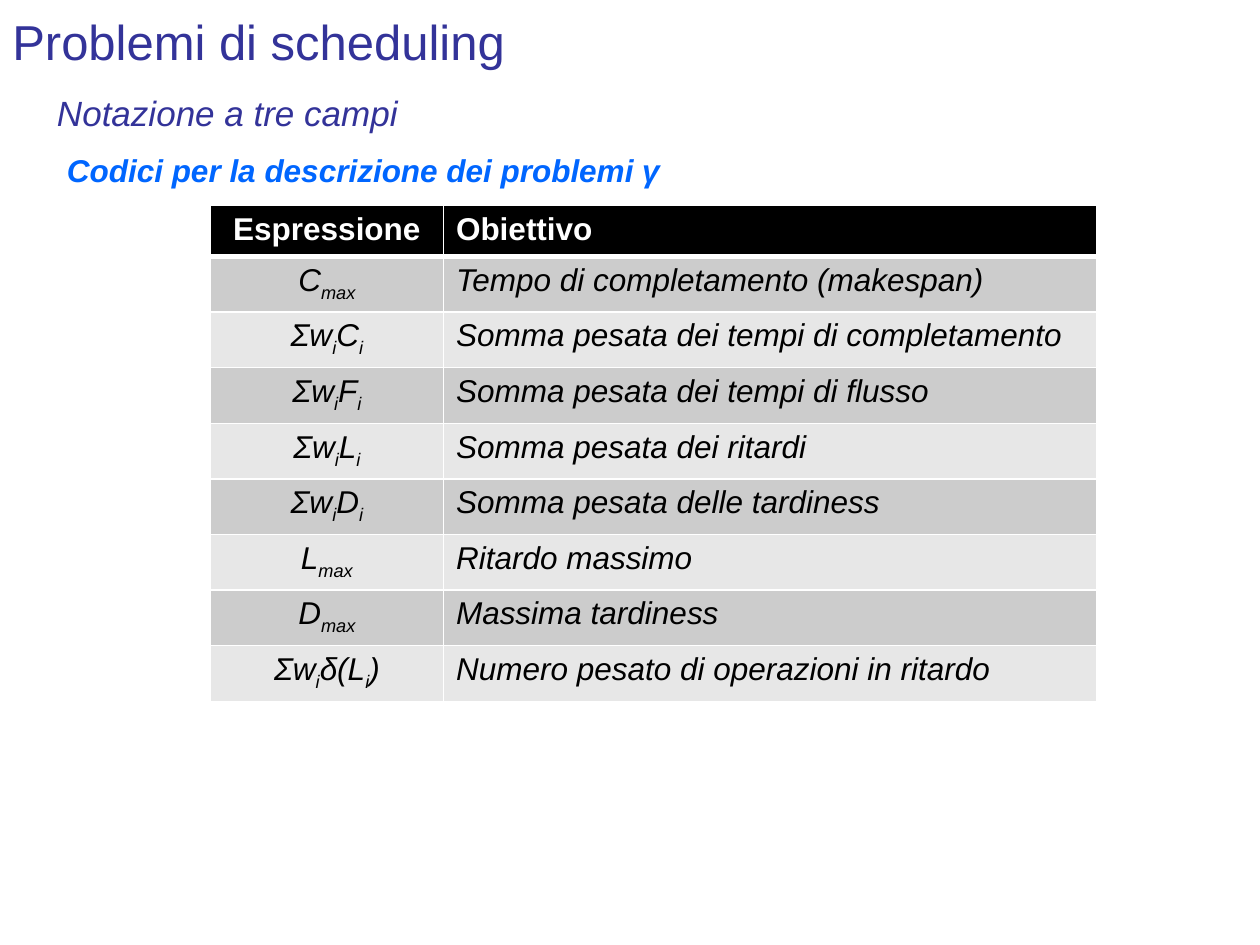
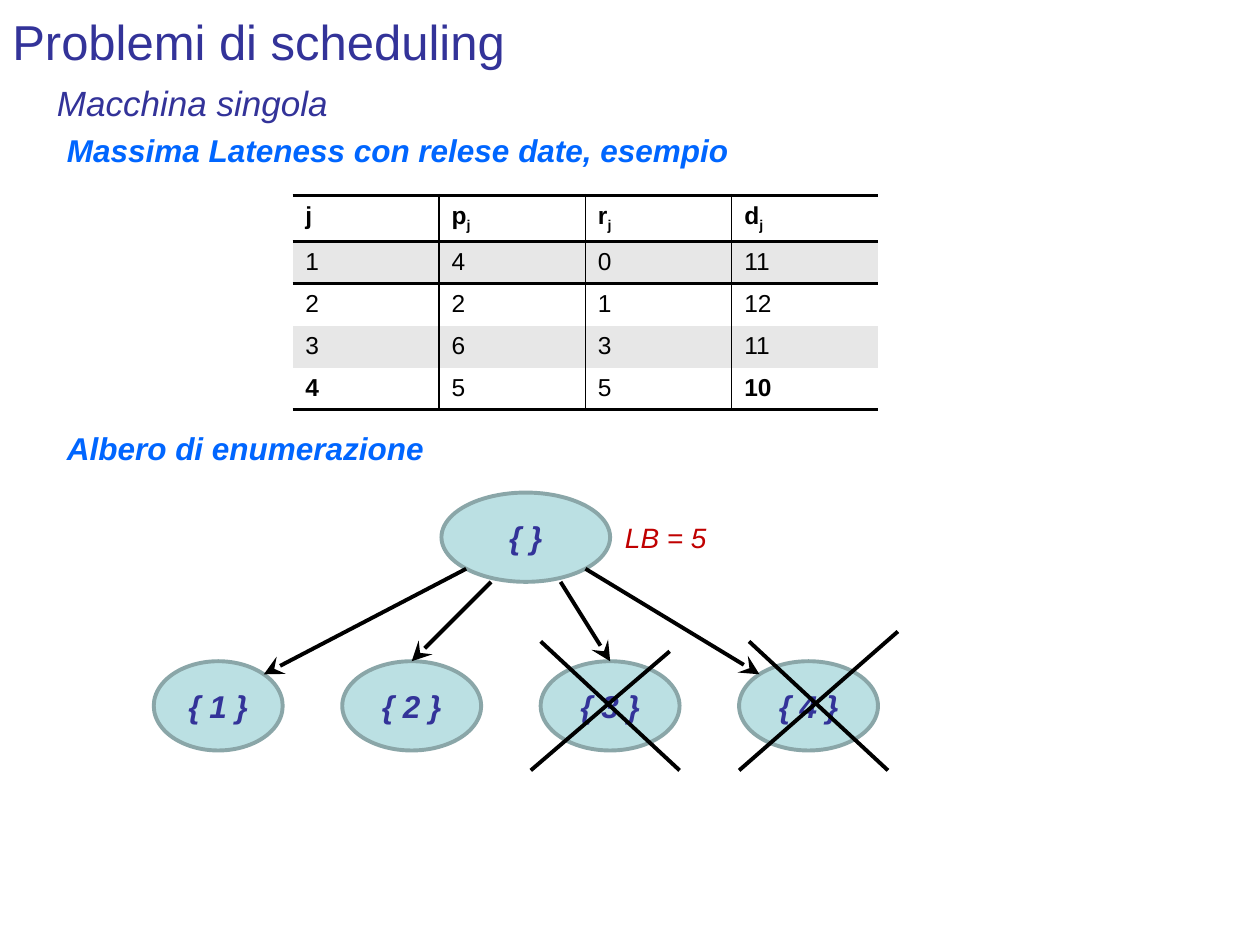
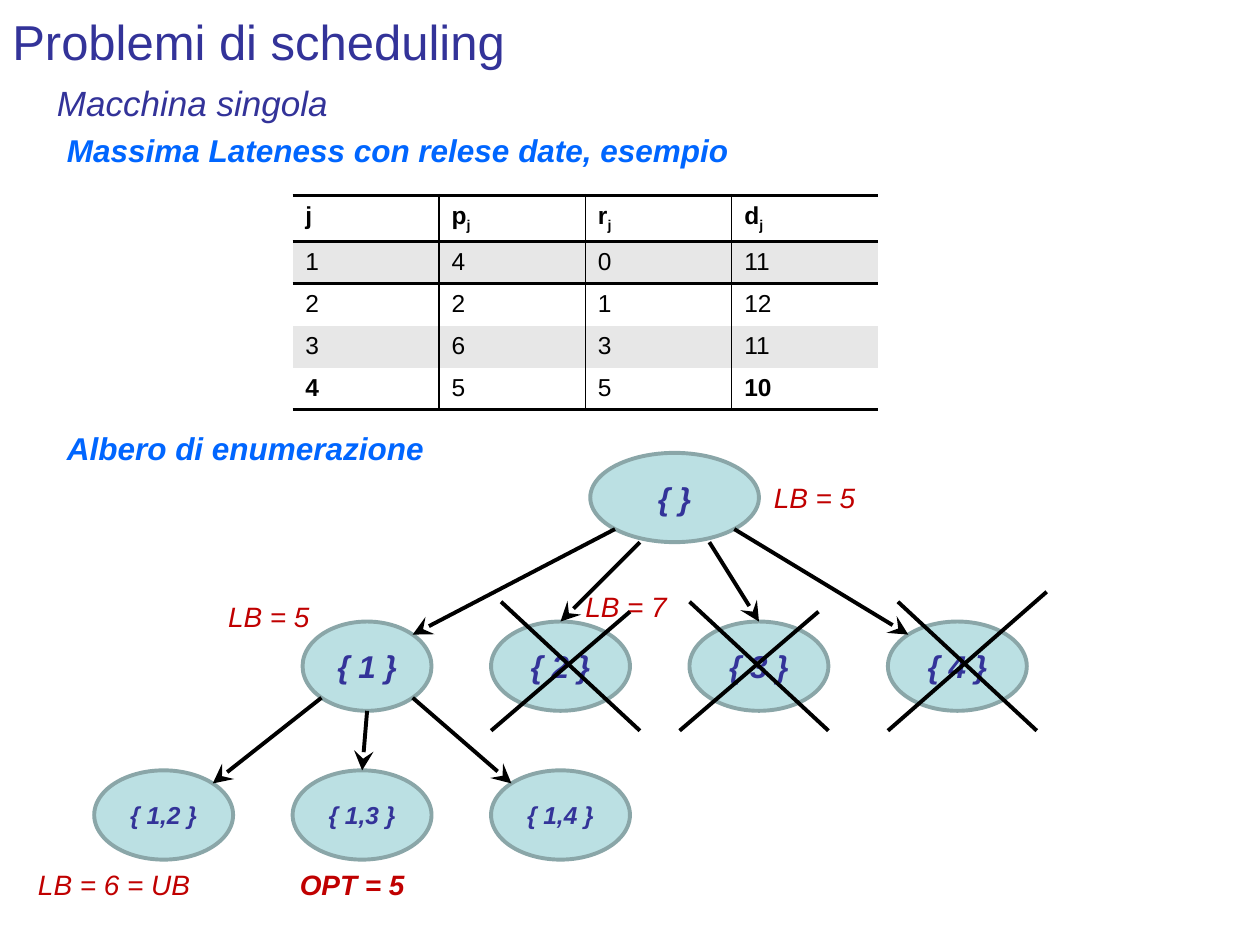
import math

from lxml import etree
from pptx import Presentation
from pptx import util as u
from pptx.dml.color import RGBColor
from pptx.enum import shapes, text
from pptx.oxml.ns import qn

INDIGO = RGBColor(0x33, 0x33, 0x99)
BLUE = RGBColor(0x00, 0x66, 0xFF)
RED = RGBColor(0xC0, 0x00, 0x00)
AQUA = RGBColor(0xBB, 0xE0, 0xE3)
TEAL = RGBColor(0x8A, 0xA6, 0xA8)
BLACK = RGBColor(0x00, 0x00, 0x00)
WHITE = RGBColor(0xFF, 0xFF, 0xFF)
GREY = RGBColor(0xCC, 0xCC, 0xCC)
PALE = RGBColor(0xE7, 0xE7, 0xE7)

COLUMNS = 127  # square grid, 2 mm a cell
NODE_HEIGHT = 9
NO_STYLE = "{2D5ABB26-0587-4C30-8999-92F81FD0307C}"

OBJECTIVES = [
    ("Espressione", "Obiettivo"),
    ("C|max", "Tempo di completamento (makespan)"),
    ("Σw|i|C|i", "Somma pesata dei tempi di completamento"),
    ("Σw|i|F|i", "Somma pesata dei tempi di flusso"),
    ("Σw|i|L|i", "Somma pesata dei ritardi"),
    ("Σw|i|D|i", "Somma pesata delle tardiness"),
    ("L|max", "Ritardo massimo"),
    ("D|max", "Massima tardiness"),
    ("Σw|i|δ(L|i|)", "Numero pesato di operazioni in ritardo"),
]
JOBS = [
    ("j", "p|j", "r|j", "d|j"),
    ("1", "4", "0", "11"),
    ("2", "2", "1", "12"),
    ("3", "6", "3", "11"),
    ("4", "5", "5", "10"),
]


class Deck:
    """Style and current slide; all lengths are grid cells."""

    def __init__(self):
        self.presentation = Presentation()
        self.presentation.slide_width = u.Inches(10)
        self.presentation.slide_height = u.Inches(7.5)
        self.cell = self.presentation.slide_width / COLUMNS
        self.slide = None

    def lengths(self, *cells):
        return [u.Emu(round(value * self.cell)) for value in cells]

    def new_slide(self, subtitle, subtitle_row):
        self.slide = self.presentation.slides.add_slide(self.presentation.slide_layouts[6])
        self.text_box(subtitle, (4.5, subtitle_row, 116, 6), 20, INDIGO, italic=True, before=4)
        self.text_box("Problemi di scheduling", (0, -0.4, 114.3, 9), 28, INDIGO, middle=True)

    def set_text(self, paragraph, content, size, color, bold=False, italic=False, centred=False):
        """Fill a paragraph; every second piece between bars is a subscript."""
        font = paragraph.font
        font.name, font.size, font.bold, font.italic = "Arial", u.Pt(size), bold, italic
        font.color.rgb = color
        paragraph.alignment = text.PP_ALIGN.CENTER if centred else text.PP_ALIGN.LEFT
        for index, piece in enumerate(content.split("|")):
            run = paragraph.add_run()
            run.text = piece
            if index % 2:
                run._r.get_or_add_rPr().set("baseline", "-25000")

    def text_box(self, content, box, size, color, middle=False, before=0, **style):
        frame = self.slide.shapes.add_textbox(*self.lengths(*box)).text_frame
        frame.word_wrap = True
        frame.vertical_anchor = text.MSO_ANCHOR.MIDDLE if middle else text.MSO_ANCHOR.TOP
        self.set_text(frame.paragraphs[0], content, size, color, **style)
        if before:
            frame.paragraphs[0].space_before = u.Pt(before)

    def heading(self, content, row):
        self.text_box(content, (5.5, row, 119, 5), 18, BLUE, bold=True, italic=True)

    def label(self, content, left, top, width=14, bold=False):
        self.text_box(content, (left, top, width, 7), 16, RED, middle=True,
                      bold=bold, italic=True, centred=True)

    def node(self, content, left, top, width=14, size=18):
        box = self.lengths(left, top, width, NODE_HEIGHT)
        shape = self.slide.shapes.add_shape(shapes.MSO_SHAPE.OVAL, *box)
        shape.shadow.inherit = False
        shape.fill.solid()
        shape.fill.fore_color.rgb = AQUA
        shape.line.color.rgb = TEAL
        shape.line.width = u.Pt(2.25)
        shape.text_frame.vertical_anchor = text.MSO_ANCHOR.MIDDLE
        self.set_text(shape.text_frame.paragraphs[0], content, size, INDIGO,
                      bold=True, italic=True, centred=True)
        return shape

    def rim(self, node, across, down):
        """Diagonal point of a node's outline, in cells; signs give the side."""
        half = math.sqrt(0.5) / 2
        return ((node.left + node.width * (0.5 + across * half)) / self.cell,
                (node.top + node.height * (0.5 + down * half)) / self.cell)

    def line(self, start, end, arrow=False):
        connector = self.slide.shapes.add_connector(
            shapes.MSO_CONNECTOR.STRAIGHT, *self.lengths(*start, *end))
        connector.line.color.rgb = BLACK
        connector.line.width = u.Pt(2.25)
        if arrow:
            etree.SubElement(connector.line._get_or_add_ln(), qn("a:tailEnd"),
                             type="stealth", w="lg", len="lg")
        etree.SubElement(connector._element.spPr, qn("a:effectLst"))
        return connector

    def arrow_to_top(self, start, node):
        self.line(start, start, arrow=True).end_connect(node, 0)

    def cross(self, left, top, overhang=0):
        self.line((left + 14 + overhang, top - 1 - overhang), (left, top + 11))
        self.line((left + 1, top - 2), (left + 15, top + 11))

    def table(self, rows, left, top, widths, row_height, size, look):
        """look(row, column) gives fill, borders and text style of a cell."""
        box = self.lengths(left, top, sum(widths), row_height * len(rows))
        table = self.slide.shapes.add_table(len(rows), len(widths), *box).table
        table.first_row = table.horz_banding = False
        table._tbl.tblPr.find(qn("a:tableStyleId")).text = NO_STYLE
        for column, width in zip(table.columns, self.lengths(*widths)):
            column.width = width
        for r, row in enumerate(rows):
            for c, content in enumerate(row):
                fill, borders, style = look(r, c)
                cell = table.cell(r, c)
                self.set_text(cell.text_frame.paragraphs[0], content, size, **style)
                self.borders(cell, borders)
                cell.fill.solid()
                cell.fill.fore_color.rgb = fill

    def borders(self, cell, borders):
        properties = cell._tc.get_or_add_tcPr()
        for side in "LRTB":
            if side in borders:
                color, points = borders[side]
                line = etree.SubElement(properties, qn(f"a:ln{side}"), w=str(u.Pt(points)))
                fill = etree.SubElement(line, qn("a:solidFill"))
                etree.SubElement(fill, qn("a:srgbClr"), val=str(color))


def objective_look(row, column):
    borders = dict.fromkeys("LRTB", (WHITE, 1))
    if row < 2:
        borders["T" if row else "B"] = (WHITE, 3)
    style = {"color": BLACK if row else WHITE, "bold": row == 0,
             "italic": row > 0, "centred": column == 0}
    fill = BLACK if row == 0 else GREY if row % 2 else PALE
    return fill, borders, style


def job_look(row, column):
    borders = {}
    if column < 2:
        borders["R"] = (BLACK, (1, 0.5)[column])
    if column in (1, 2):
        borders["L"] = (BLACK, (1, 0.5)[column - 1])
    if row < 2:
        borders["T"] = (BLACK, 2)
    if row in (0, len(JOBS) - 1):
        borders["B"] = (BLACK, 2)
    bold = row == 0 or (row == len(JOBS) - 1 and column in (0, 3))
    return PALE if row % 2 else WHITE, borders, {"color": BLACK, "bold": bold}


def example_slide(deck):
    deck.new_slide("Macchina singola", 7.6)
    deck.heading("Massima Lateness con relese date, esempio", 12.6)
    deck.table(JOBS, 29.5, 19.7, [14.75] * 4, 4.23, 14, job_look)
    deck.heading("Albero di enumerazione", 42.65)


def first_level(deck, left, top):
    """Root with four children, the last two pruned; returns the first child."""
    level = top + 17
    root = deck.node("{ }", left, top, 17)
    first = deck.node("{ 1 }", left - 29, level, 13)
    second, third, fourth = [
        deck.node(f"{{ {job} }}", left - 50 + 20 * job, level) for job in (2, 3, 4)]
    deck.label("LB = 5 ", left + 16, top + 1)
    deck.line(deck.rim(root, -1, 1), deck.rim(first, 1, -1), arrow=True)
    deck.arrow_to_top((left + 5, top + NODE_HEIGHT), second)
    deck.arrow_to_top((left + 12, top + NODE_HEIGHT), third)
    deck.line(deck.rim(root, 1, 1), deck.rim(fourth, -1, -1), arrow=True)
    deck.cross(left + 30, level, overhang=2)
    deck.cross(left + 9, level)
    return first


def second_level(deck, parent, left, top):
    """Children of the first node, with their bounds."""
    deck.label("LB = 5 ", left - 39, top + 13)
    deck.label("LB = 7 ", left - 3, top + 12)
    children = [deck.node(f"{{ 1,{job} }}", left - 90 + 20 * job, top + 32, size=14)
                for job in (2, 3, 4)]
    deck.line(deck.rim(parent, -1, 1), deck.rim(children[0], 1, -1), arrow=True)
    deck.arrow_to_top((left - 22.5, top + 17 + NODE_HEIGHT), children[1])
    deck.line(deck.rim(parent, 1, 1), deck.rim(children[2], -1, -1), arrow=True)
    deck.label("LB = 6 = UB ", left - 57, top + 40, 18)
    deck.label("OPT = 5", left - 33, top + 40, 18, bold=True)
    deck.cross(left - 10, top + 17)


def main():
    deck = Deck()

    # Objective codes
    deck.new_slide("Notazione a tre campi", 8.6)
    deck.table(OBJECTIVES, 21.2, 20.7, [23.5, 65.8], 5.15, 18, objective_look)
    deck.heading("Codici per la descrizione dei problemi γ", 14.65)

    # First level of the tree
    example_slide(deck)
    first_level(deck, 44.5, 49.65)

    # Both levels of the tree
    example_slide(deck)
    root_place = (59.5, 45.65)
    first = first_level(deck, *root_place)
    second_level(deck, first, *root_place)

    deck.presentation.save("out.pptx")


if __name__ == "__main__":
    main()
